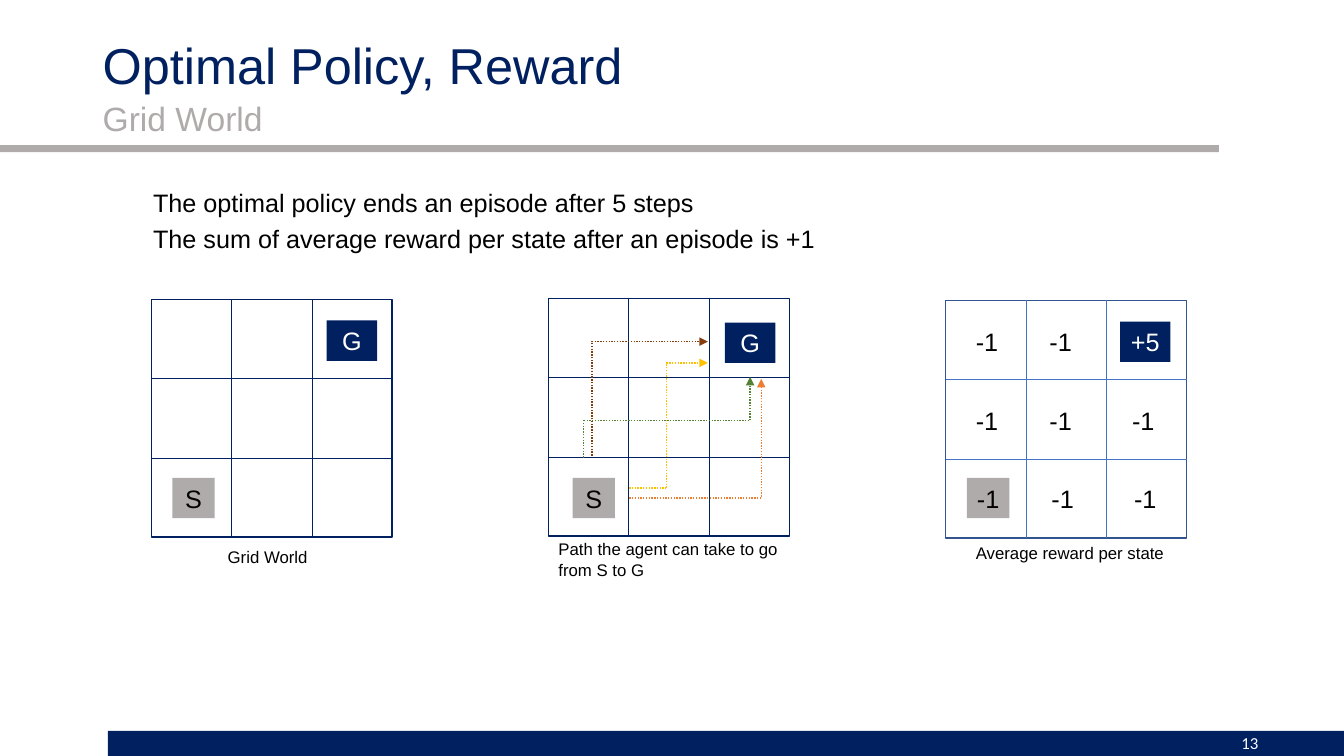
from dataclasses import dataclass

from lxml import etree
from pptx import Presentation
from pptx.dml.color import RGBColor
from pptx.enum import dml, shapes, text
from pptx.oxml.ns import qn
from pptx.util import Inches, Pt


@dataclass(frozen=True)
class Theme:
    navy: str = "002060"
    gray: str = "AFABAB"
    black: str = "000000"
    white: str = "FFFFFF"
    reward_frame: str = "325491"
    reward_divider: str = "4472C4"
    brown: str = "843C0B"
    green: str = "548235"
    orange: str = "ED7D31"
    yellow: str = "FFC000"
    font: str = "Arial"
    number_font: str = "Calibri"
    title: int = 36
    subtitle: int = 24
    body: int = 18
    small: int = 12


THEME = Theme()
GRID_W, GRID_H = 2.39, 2.36


def inches(*lengths):
    return [Inches(length) for length in lengths]


def write(frame, words, size=THEME.body, color=THEME.black, font=THEME.font,
          align=text.PP_ALIGN.LEFT, anchor=text.MSO_ANCHOR.TOP, spacing=None):
    frame.word_wrap = True
    frame.vertical_anchor = anchor
    paragraph = frame.paragraphs[0]
    paragraph.alignment = align
    paragraph.line_spacing = spacing
    run = paragraph.add_run()
    run.text = words
    run.font.size = Pt(size)
    run.font.name = font
    run.font.color.rgb = RGBColor.from_string(color)


def add_label(parent, words, box, **style):
    label = parent.add_textbox(*inches(*box))
    write(label.text_frame, words, **style)


def add_block(parent, box, fill=None, line=None):
    block = parent.add_shape(shapes.MSO_SHAPE.RECTANGLE, *inches(*box))
    block.shadow.inherit = False
    if fill:
        block.fill.solid()
        block.fill.fore_color.rgb = RGBColor.from_string(fill)
    else:
        block.fill.background()
    if line:
        block.line.color.rgb = RGBColor.from_string(line)
        block.line.width = Pt(1)
    else:
        block.line.fill.background()
    return block


def add_tile(parent, words, box, fill, color):
    tile = add_block(parent, box, fill=fill)
    tile.text_frame.margin_left = tile.text_frame.margin_right = 0
    write(tile.text_frame, words, color=color, align=text.PP_ALIGN.CENTER,
          anchor=text.MSO_ANCHOR.MIDDLE)


def add_line(parent, start, end, color, width=0.5, dotted=False, arrow=False, bend=None):
    kind = shapes.MSO_CONNECTOR.STRAIGHT if bend is None else shapes.MSO_CONNECTOR.ELBOW
    line = parent.add_connector(kind, *inches(*start, *end))
    line.line.color.rgb = RGBColor.from_string(color)
    line.line.width = Pt(width)
    properties = line._element.spPr
    if bend is not None:
        guides = properties.find(qn("a:prstGeom")).find(qn("a:avLst"))
        etree.SubElement(guides, qn("a:gd"), name="adj1", fmla=f"val {bend}")
    if dotted:
        line.line.dash_style = dml.MSO_LINE.ROUND_DOT
    if arrow:
        etree.SubElement(properties.find(qn("a:ln")), qn("a:tailEnd"), type="triangle")
    etree.SubElement(properties, qn("a:effectLst"))


def add_path(parent, points, color):
    legs = list(zip(points, points[1:]))
    for leg, (start, end) in enumerate(legs, 1):
        add_line(parent, start, end, color, 1, dotted=True, arrow=leg == len(legs))


def add_grid(parent, left, top, frame=THEME.navy, divider=THEME.navy):
    add_block(parent, (left, top, GRID_W, GRID_H), line=frame)
    for third in (1, 2):
        x = left + third * GRID_W / 3
        y = top + third * GRID_H / 3
        add_line(parent, (x, top), (x, top + GRID_H), divider)
        add_line(parent, (left, y), (left + GRID_W, y), divider)


def add_start(parent, left, words="S"):
    add_tile(parent, words, (left, 4.74, 0.42, 0.4), THEME.gray, THEME.black)


def add_goal(parent, left, top, words="G"):
    add_tile(parent, words, (left, top, 0.5, 0.4), THEME.navy, THEME.white)


def add_header_and_footer(slide):
    heading = dict(anchor=text.MSO_ANCHOR.MIDDLE, spacing=0.9)
    add_label(slide.shapes, "Optimal Policy, Reward", (0.92, 0.4, 11.5, 0.55),
              size=THEME.title, color=THEME.navy, **heading)
    add_block(slide.shapes, (0, 1.44, 12.09, 0.07), fill=THEME.gray)
    add_block(slide.shapes, (1.07, 7.25, 12.26, 0.25), fill=THEME.navy)
    add_label(slide.shapes, "Grid World", (0.92, 0.92, 11.5, 0.55),
              size=THEME.subtitle, color=THEME.gray, **heading)
    add_label(slide.shapes, "13", (9.58, 7.17, 3, 0.4), size=THEME.small,
              color=THEME.white, font=THEME.number_font,
              align=text.PP_ALIGN.RIGHT, anchor=text.MSO_ANCHOR.MIDDLE)


def add_grid_world(slide):
    world = slide.shapes.add_group_shape().shapes
    add_grid(world, 1.5, 2.97)
    add_start(world, 1.71)
    add_goal(world, 3.24, 3.18)


def add_agent_paths(slide):
    add_grid(slide.shapes.add_group_shape().shapes, 5.44, 2.96)
    add_line(slide.shapes, (5.87, 4.52), (7.02, 3.39), THEME.brown, 1,
             dotted=True, arrow=True, bend=0)
    add_path(slide.shapes.add_group_shape().shapes,
             [(5.79, 4.54), (5.79, 4.17), (7.44, 4.17), (7.44, 3.74)], THEME.green)
    add_start(slide.shapes, 5.68)
    add_goal(slide.shapes, 7.19, 3.2)
    add_line(slide.shapes, (6.24, 4.94), (7.55, 3.76), THEME.orange, 1,
             dotted=True, arrow=True, bend=100000)
    add_path(slide.shapes.add_group_shape().shapes,
             [(6.24, 4.84), (6.61, 4.84), (6.61, 3.6), (7.02, 3.6)], THEME.yellow)


def add_rewards(slide):
    rewards = slide.shapes.add_group_shape().shapes
    add_grid(rewards, 9.38, 2.98, THEME.reward_frame, THEME.reward_divider)
    reward_rows = [(9.58, 10.31), (9.58, 10.31, 11.13), (10.33, 11.15)]
    for row, lefts in enumerate(reward_rows):
        for left in lefts:
            add_label(rewards, "-1", (left, 3.19 + row * 0.78, 0.5, 0.4))
    add_start(slide.shapes, 9.59, "-1")
    add_goal(slide.shapes, 11.11, 3.19, "+5")


def main():
    deck = Presentation()
    deck.slide_width, deck.slide_height = inches(13.33, 7.5)
    slide = deck.slides.add_slide(deck.slide_layouts[6])

    add_header_and_footer(slide)
    add_label(slide.shapes, "The optimal policy ends an episode after 5 steps",
              (1.42, 1.81, 6.96, 0.4))
    add_label(slide.shapes, "The sum of average reward per state after an episode is +1",
              (1.42, 2.17, 7.53, 0.4))
    add_grid_world(slide)
    add_agent_paths(slide)
    add_rewards(slide)

    captions = [
        ("Grid World", (2.16, 5.37, 1.14, 0.3)),
        ("Path the agent can take to go from S to G", (5.44, 5.3, 2.53, 0.5)),
        ("Average reward per state", (9.58, 5.34, 2.28, 0.3)),
    ]
    for words, box in captions:
        add_label(slide.shapes, words, box, size=THEME.small)

    deck.save("out.pptx")


if __name__ == "__main__":
    main()
